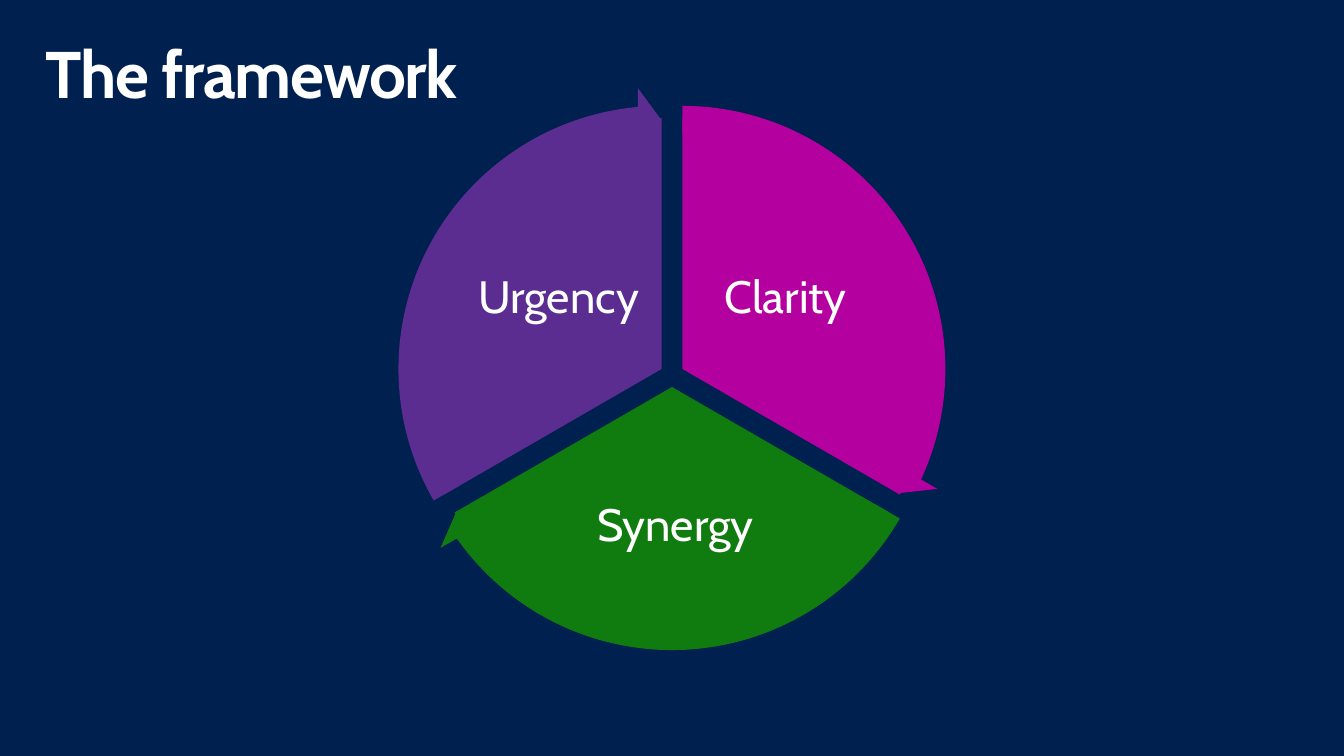
from dataclasses import dataclass
from math import cos, radians, sin

from pptx import Presentation
from pptx.dml.color import RGBColor
from pptx.enum.shapes import MSO_SHAPE as Shape
from pptx.enum.text import MSO_ANCHOR as Anchor, PP_ALIGN as Align
from pptx.util import Pt

EMU_PER_PX = 9253
ADJUST_PER_DEGREE = 0.6  # 60000 angle units per degree, over 100000


@dataclass(frozen=True)
class Theme:
    font: str = "Cabin"
    background: str = "002050"
    text: str = "FFFFFF"
    magenta: str = "B4009E"
    green: str = "107C10"
    purple: str = "5C2D91"
    title_size: int = 48
    label_size: int = 33


def px(length):
    return round(length * EMU_PER_PX)


class SlideBuilder:
    def __init__(self, presentation, theme):
        self.theme = theme
        self.slide = presentation.slides.add_slide(presentation.slide_layouts[6])
        fill = self.slide.background.fill
        fill.solid()
        fill.fore_color.rgb = RGBColor.from_string(theme.background)

    def text(self, box, words, size, insets, align=Align.LEFT,
             anchor=Anchor.TOP, bold=False, spacing=0):
        frame = self.slide.shapes.add_textbox(*map(px, box)).text_frame
        frame.word_wrap = True
        frame.vertical_anchor = anchor
        frame.margin_left = frame.margin_right = px(insets[0])
        frame.margin_top = frame.margin_bottom = px(insets[1])
        paragraph = frame.paragraphs[0]
        paragraph.alignment = align
        paragraph.line_spacing = 0.9
        run = paragraph.add_run()
        run.text = words
        run.font.name = self.theme.font
        run.font.size = Pt(size)
        run.font.bold = bold
        run.font.color.rgb = RGBColor.from_string(self.theme.text)
        if spacing:
            run._r.get_or_add_rPr().set("spc", str(spacing * 100))

    def round_shape(self, kind, center, diameter, color, adjustments):
        left, top = (px(value - diameter / 2) for value in center)
        shape = self.slide.shapes.add_shape(
            kind, left, top, px(diameter), px(diameter))
        shape.shadow.inherit = False
        shape.fill.solid()
        shape.fill.fore_color.rgb = RGBColor.from_string(color)
        shape.line.fill.background()
        for index, value in enumerate(adjustments):
            shape.adjustments[index] = value

    def sector(self, center, diameter, color, start, end):
        self.round_shape(Shape.PIE, center, diameter, color,
                         [start * ADJUST_PER_DEGREE, end * ADJUST_PER_DEGREE])

    def rim_arrow(self, center, diameter, color, start, end):
        head = 3.275
        self.round_shape(Shape.CIRCULAR_ARROW, center, diameter, color,
                         [0.051, head, end * ADJUST_PER_DEGREE - head,
                          start * ADJUST_PER_DEGREE, 0.059])


def main():
    theme = Theme()
    presentation = Presentation()
    presentation.slide_width, presentation.slide_height = px(1344), px(756)
    builder = SlideBuilder(presentation, theme)

    # Title
    builder.text((30, 32, 1285, 99), "The framework", theme.title_size,
                 insets=(16, 10), bold=True, spacing=-1)

    # Cycle: each third is pushed out from the hub along its middle angle
    hub_x, hub_y, gap, sweep = 672, 375, 12, 120
    thirds = [
        ("Clarity", theme.magenta, 270, (696, 224, 179, 149)),
        ("Synergy", theme.green, 30, (541, 461, 269, 131)),
        ("Urgency", theme.purple, 150, (469, 224, 179, 149)),
    ]
    arcs = []
    for label, color, start, label_box in thirds:
        middle = radians(start + sweep / 2)
        center = (hub_x + gap * cos(middle), hub_y + gap * sin(middle))
        arc = (color, start, (start + sweep) % 360)
        arcs.append((center, arc))
        builder.sector(center, 502, *arc)
        builder.text(label_box, label, theme.label_size, insets=(5, 5),
                     align=Align.CENTER, anchor=Anchor.MIDDLE)

    # Arrows around the rim, above all sectors
    for center, arc in arcs:
        builder.rim_arrow(center, 564, *arc)

    presentation.save("out.pptx")


if __name__ == "__main__":
    main()
